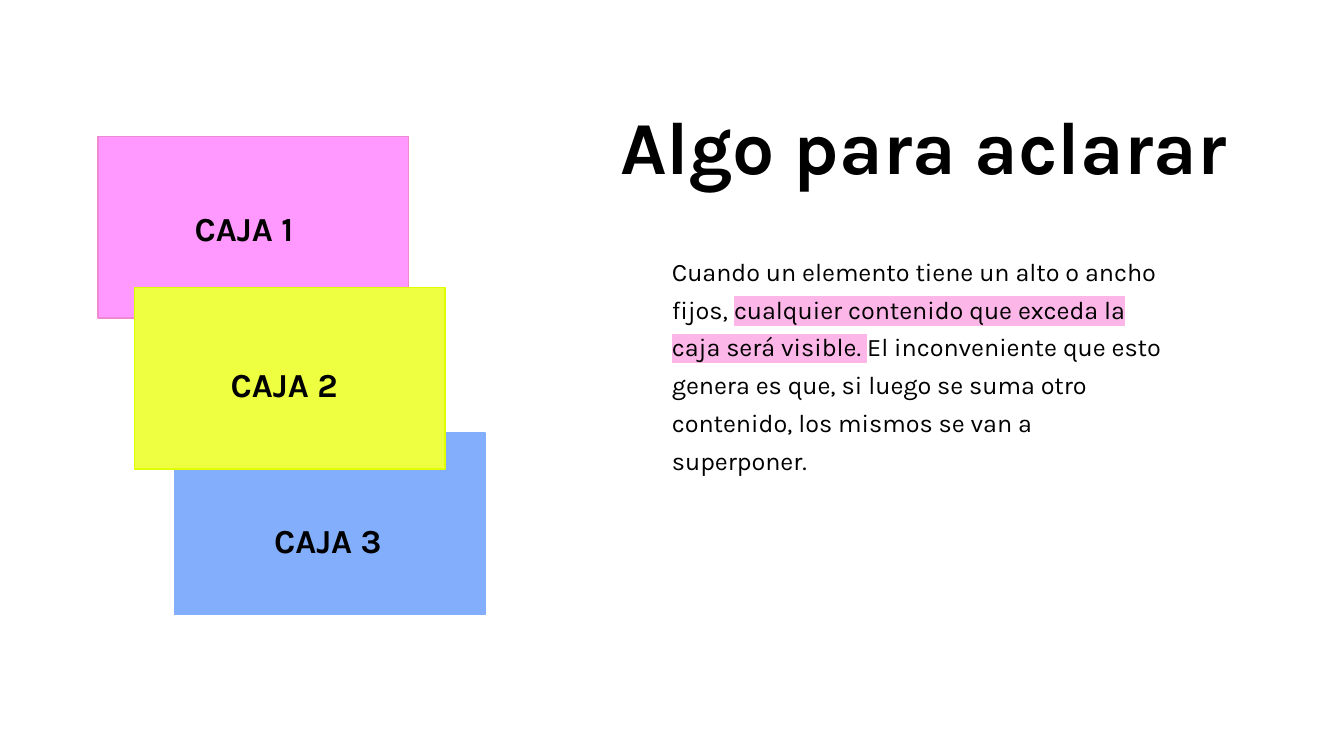
from dataclasses import dataclass

from lxml import etree
from pptx import Presentation
from pptx.dml.color import RGBColor
from pptx.enum import shapes, text
from pptx.oxml.ns import qn
from pptx.util import Cm, Pt


@dataclass(frozen=True)
class Theme:
    font: str = "Karla"
    ink: str = "000000"
    highlight: str = "FCB6E8"
    title_size: float = 40
    label_size: float = 18
    body_size: float = 13.5


THEME = Theme()
BOX_WIDTH, BOX_HEIGHT = 5.87, 3.43
LABEL_TOP, LABEL_STEP = 3.48, 2.95

# number, left, top, fill, opacity in percent, line, label left; back to front
BOXES = [
    (1, 1.85, 2.58, "FF00FF", 40, "EF89D2", 3.43),
    (3, 3.3, 8.18, "83AEFB", 100, "83AEFB", 4.93),
    (2, 2.54, 5.43, "EEFF41", 100, "E0FF00", 4.11),
]
BODY = [
    ("Cuando un elemento tiene un alto o ancho fijos, ", None),
    ("cualquier contenido que exceda la caja será visible. ", THEME.highlight),
    ("El inconveniente que esto genera es que, si luego se suma otro "
     "contenido, los mismos se van a superponer.", None),
]


def place(shape, left, top, width, height):
    shape.left, shape.top = Cm(left), Cm(top)
    shape.width, shape.height = Cm(width), Cm(height)


def prepare_frame(frame):
    """Wrap from the top left with even insets and a fixed box size."""
    frame.word_wrap = True
    frame.auto_size = text.MSO_AUTO_SIZE.NONE
    frame.vertical_anchor = text.MSO_ANCHOR.TOP
    frame.margin_left = frame.margin_right = Cm(0.25)
    frame.margin_top = frame.margin_bottom = Cm(0.25)


def add_span(para, words, size, bold=False, highlight=None):
    span = para.add_run()
    span.text = words
    span.font.size = Pt(size)
    span.font.bold = bold
    span.font.color.rgb = RGBColor.from_string(THEME.ink)
    if highlight:
        marker = etree.Element(qn("a:highlight"))
        etree.SubElement(marker, qn("a:srgbClr"), val=highlight)
        span.font.fill._xPr.find(qn("a:solidFill")).addnext(marker)
    span.font.name = THEME.font


def add_title(page, words):
    title = page.shapes.title
    place(title, 8.79, 0.79, 17.32, 1.93)
    prepare_frame(title.text_frame)
    para = title.text_frame.paragraphs[0]
    para.alignment = text.PP_ALIGN.CENTER
    para.line_spacing = 1.5
    para.space_before = Pt(0)
    add_span(para, words, THEME.title_size, bold=True)


def add_text(page, spans, left, top, width, height, size, bold=False):
    box = page.shapes.add_textbox(Cm(left), Cm(top), Cm(width), Cm(height))
    prepare_frame(box.text_frame)
    para = box.text_frame.paragraphs[0]
    para.line_spacing = 1.25
    for words, highlight in spans:
        add_span(para, words, size, bold, highlight)


def add_box(page, left, top, fill, opacity, line):
    box = page.shapes.add_shape(
        shapes.MSO_SHAPE.RECTANGLE,
        Cm(left), Cm(top), Cm(BOX_WIDTH), Cm(BOX_HEIGHT))
    box.shadow.inherit = False
    box.fill.solid()
    box.fill.fore_color.rgb = RGBColor.from_string(fill)
    if opacity < 100:
        color = box._element.spPr.find(qn("a:solidFill"))[0]
        etree.SubElement(color, qn("a:alpha"), val=str(opacity * 1000))
    box.line.color.rgb = RGBColor.from_string(line)
    box.line.width = Pt(0.75)


def main():
    deck = Presentation()
    deck.slide_width, deck.slide_height = Cm(25.4), Cm(14.28)
    page = deck.slides.add_slide(deck.slide_layouts[5])

    add_title(page, "Algo para aclarar")
    add_text(page, BODY, 12.45, 4.45, 9.86, 6.2, THEME.body_size)
    for _, left, top, fill, opacity, line, _ in BOXES:
        add_box(page, left, top, fill, opacity, line)
    for number, *_, label_left in BOXES:
        label_top = LABEL_TOP + (number - 1) * LABEL_STEP
        add_text(page, [(f"CAJA {number}", None)], label_left, label_top,
                 3.3, 1.65, THEME.label_size, bold=True)

    deck.save("out.pptx")


if __name__ == "__main__":
    main()
